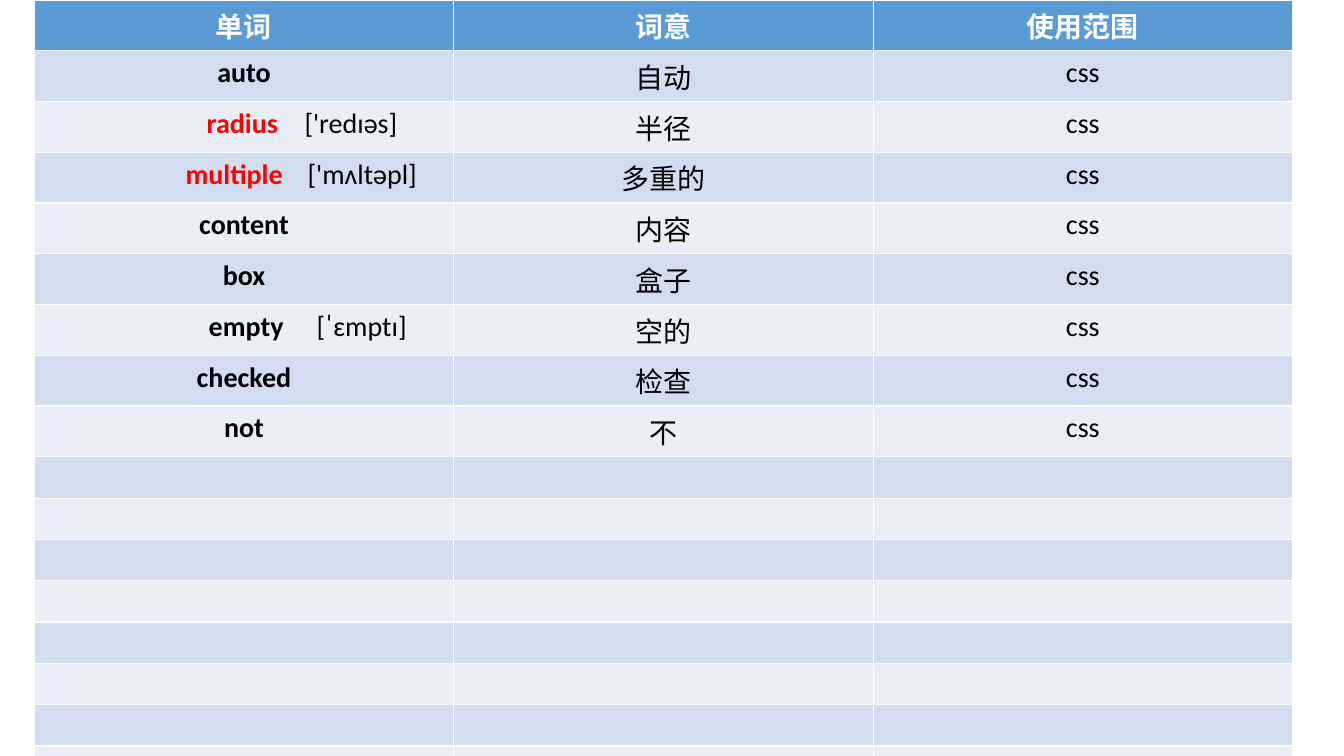
"""Build a vocabulary table slide of CSS words."""
from lxml.etree import SubElement
from pptx import Presentation
from pptx.dml.color import RGBColor
from pptx.enum.text import PP_ALIGN
from pptx.oxml.ns import qn
from pptx.util import Inches, Pt

WHITE = RGBColor(0xFF, 0xFF, 0xFF)
BLACK = RGBColor(0x00, 0x00, 0x00)
RED = RGBColor(0xFF, 0x00, 0x00)
HEADER_BLUE = RGBColor(0x5B, 0x9B, 0xD5)
BANDS = (RGBColor(0xEA, 0xEF, 0xF7), RGBColor(0xD2, 0xDE, 0xEF))

HEADINGS = ("单词", "词意", "使用范围")
MEANINGS = {
    "auto": "自动",
    "radius": "半径",
    "multiple": "多重的",
    "content": "内容",
    "box": "盒子",
    "empty": "空的",
    "checked": "检查",
    "not": "不",
}
PHONETICS = {
    "radius": ("['redɪəs]", RED, 1.71, 0.97),
    "multiple": ("['mʌltəpl]", RED, 1.5, 1.21),
    "empty": ("[ˈɛmptɪ]", BLACK, 1.73, 1.07),
}
ROW_COUNT = 17
COLUMN_WIDTH = 4.16
HEADER_HEIGHT = 0.33
ROW_HEIGHT = 0.41


def add_run(paragraph, text, color=BLACK, bold=False):
    """Append a formatted run to a paragraph."""
    run = paragraph.add_run()
    run.text = text
    run.font.color.rgb = color
    for name, value in {"name": "Calibri", "size": Pt(20), "bold": bold}.items():
        setattr(run.font, name, value)


def write_centred(cell, text, color=BLACK, bold=False):
    """Write one centred line in a cell."""
    paragraph = cell.text_frame.paragraphs[0]
    paragraph.alignment = PP_ALIGN.CENTER
    add_run(paragraph, text, color, bold)


def write_pronounced(cell, word):
    """Write a word and its phonetics, set apart by a tab stop."""
    phonetics, color, indent, tab = PHONETICS[word]
    cell.margin_left = Inches(indent)
    paragraph = cell.text_frame.paragraphs[0]
    paragraph.alignment = PP_ALIGN.LEFT
    add_run(paragraph, word + "\t", color, True)
    add_run(paragraph, phonetics)
    stops = SubElement(paragraph._p.get_or_add_pPr(), qn("a:tabLst"))
    SubElement(stops, qn("a:tab"), pos=str(Inches(tab)), algn="l")


def add_word_table(slide):
    """Add the table with its sizes and banded fills."""
    height = HEADER_HEIGHT + ROW_HEIGHT * (ROW_COUNT - 1)
    words = slide.shapes.add_table(
        ROW_COUNT, len(HEADINGS), Inches(0.34), Inches(0),
        Inches(COLUMN_WIDTH * len(HEADINGS)), Inches(height),
    ).table
    for column in words.columns:
        column.width = Inches(COLUMN_WIDTH)
    for index, row in enumerate(words.rows):
        row.height = Inches(ROW_HEIGHT if index else HEADER_HEIGHT)
        for cell in row.cells:
            cell.fill.solid()
            cell.fill.fore_color.rgb = BANDS[index % 2] if index else HEADER_BLUE
    return words


def main():
    """Create the slide and save it."""
    deck = Presentation()
    deck.slide_width, deck.slide_height = Inches(13.33), Inches(7.5)
    slide = deck.slides.add_slide(deck.slide_layouts[6])
    words = add_word_table(slide)
    for column, heading in enumerate(HEADINGS):
        write_centred(words.cell(0, column), heading, WHITE, True)
    for row, (word, meaning) in enumerate(MEANINGS.items(), 1):
        if word in PHONETICS:
            write_pronounced(words.cell(row, 0), word)
        else:
            write_centred(words.cell(row, 0), word, bold=True)
        write_centred(words.cell(row, 1), meaning)
        write_centred(words.cell(row, 2), "css")
    deck.save("out.pptx")


if __name__ == "__main__":
    main()
